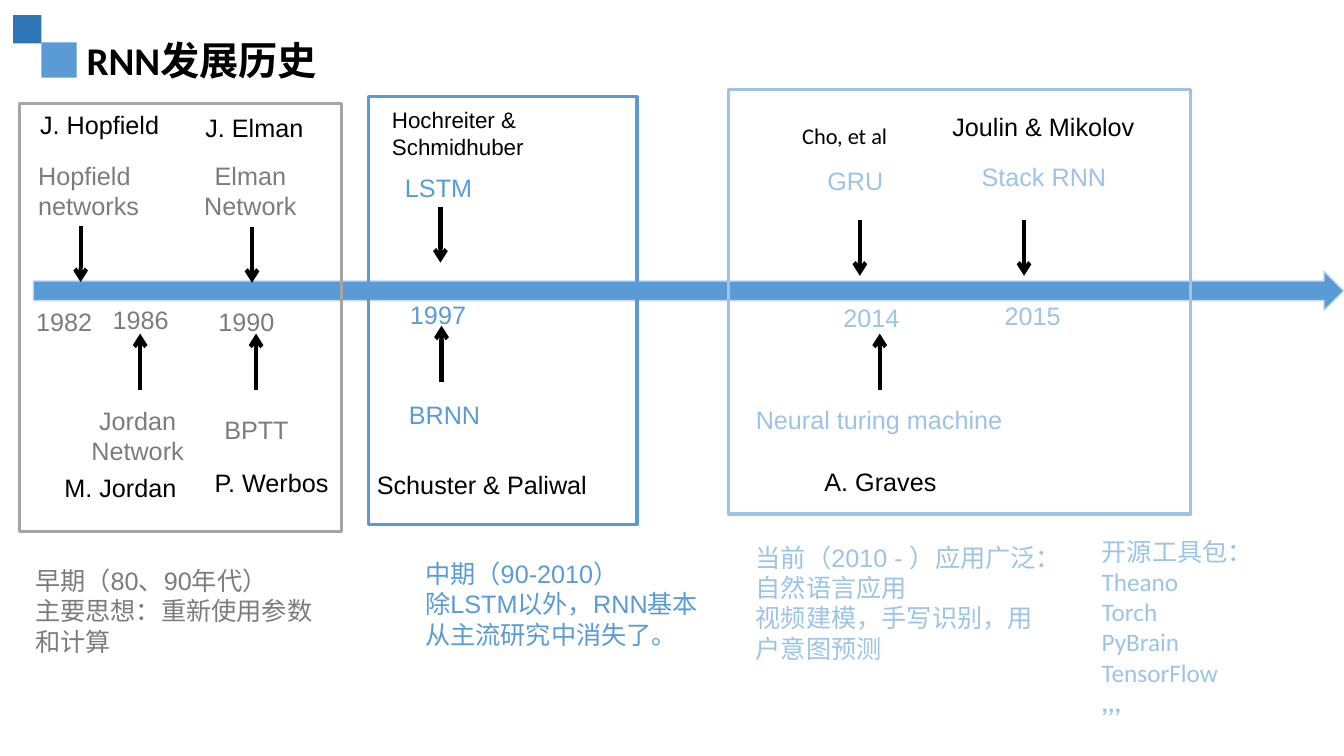
"""Build a one-slide timeline of the history of RNNs."""
from lxml import etree
from pptx import Presentation
from pptx.dml.color import RGBColor
from pptx.enum.shapes import MSO_CONNECTOR, MSO_SHAPE
from pptx.enum.text import MSO_AUTO_SIZE, PP_ALIGN
from pptx.oxml.ns import qn
from pptx.util import Pt

RECTANGLE, RIGHT_ARROW = MSO_SHAPE.RECTANGLE, MSO_SHAPE.RIGHT_ARROW
STRAIGHT = MSO_CONNECTOR.STRAIGHT
LEFT, CENTER = PP_ALIGN.LEFT, PP_ALIGN.CENTER
FIT_SHAPE = MSO_AUTO_SIZE.SHAPE_TO_FIT_TEXT

BLACK = RGBColor(0x00, 0x00, 0x00)
GRAY = RGBColor(0x7C, 0x7C, 0x7C)
FRAME_GRAY = RGBColor(0xA5, 0xA5, 0xA5)
BLUE = RGBColor(0x5B, 0x9B, 0xD5)
DARK_BLUE = RGBColor(0x2E, 0x75, 0xB6)
LIGHT_BLUE = RGBColor(0x9D, 0xC3, 0xE6)
PALE_BLUE = RGBColor(0xC2, 0xD8, 0xF8)

ARROW_LENGTH = 40
YEAR_WIDTH = 54.7

TITLE = "RNN发展历史"
TITLE_SQUARES = [(29.5, 30.2, 25.2, BLUE), (9.4, 10.8, 20.2, DARK_BLUE)]
TIMELINE = (23.8, 193.7, 936, 28.1)

PERIODS = [
    {
        "color": GRAY, "frame_color": FRAME_GRAY,
        "frame": (13.7, 74.2, 230.4, 305.3),
        "years": [("1982", 18.7, 215.3), ("1986", 73.4, 213.8), ("1990", 149, 215.3)],
        "models": [
            ("Hopﬁeld\nnetworks", 20.2, 110.9, 88.6, LEFT),
            ("Jordan\nNetwork", 57.6, 285.8, 81.4, CENTER),
            ("Elman\nNetwork", 138.2, 110.9, 81.4, CENTER),
            ("BPTT", 152.6, 292.3, 61.2, CENTER),
        ],
        "authors": [
            ("J. Hopﬁeld", 21.6, 74.2, 102.2, {}),
            ("J. Elman", 139.6, 77, 85, {}),
            ("P. Werbos", 146.2, 330.5, 97.9, {}),
            ("M. Jordan", 38.9, 334.1, 95, {}),
        ],
        "down_arrows": [(57.6, 161.5), (180, 162)],
        "up_arrows": [(182.9, 238.3), (100.1, 238.3)],
        "summary": ("早期（80、90年代）\n主要思想：重新使用参数和计算", 18, 400.3, 217.4),
    },
    {
        "color": BLUE, "frame_color": BLUE,
        "frame": (263.5, 69.1, 191.5, 305.3),
        "years": [("1997", 285.8, 210.2)],
        "models": [
            ("LSTM", 282.2, 119.5, 63.4, LEFT),
            ("BRNN", 284.4, 281.5, 66.2, CENTER),
        ],
        "authors": [
            ("Hochreiter &\nSchmidhuber", 272.9, 72, 114.5, {"size": 16}),
            ("Schuster & Paliwal", 262.1, 331.9, 166.3, {}),
        ],
        "down_arrows": [(314.6, 147.6)],
        "up_arrows": [(315.4, 232.6)],
        "summary": ("中期（90-2010）\n除LSTM以外，RNN基本从主流研究中消失了。", 296.6, 395.3, 215.3),
    },
    {
        "color": LIGHT_BLUE, "frame_color": LIGHT_BLUE,
        "frame": (520.6, 64.1, 329.8, 303.1),
        "years": [("2014", 595.4, 212.4), ("2015", 710.6, 211)],
        "models": [
            ("GRU", 583.9, 114.5, 54.7, LEFT),
            ("Neural turing machine", 532.8, 285.1, 192.2, LEFT),
            ("Stack RNN", 694.1, 111.6, 104.4, LEFT),
        ],
        "authors": [
            ("A. Graves", 581.8, 329.8, 95, {}),
            ("Cho, et al", 565.9, 83.5, 92.9, {"size": 16, "font": "Calibri"}),
            ("Joulin & Mikolov", 673.2, 76.3, 146.2, {}),
        ],
        "down_arrows": [(614.2, 157), (731.5, 157)],
        "up_arrows": [(628.4, 238.3)],
        "summary": ("当前（2010 - ）应用广泛：\n自然语言应用\n视频建模，手写识别，用户意图预测",
                    532.8, 383.8, 218.2),
    },
]
TOOLKITS = ["开源工具包：", "Theano", "Torch", "PyBrain", "TensorFlow", ",,,"]
TOOLKITS_PLACE = (779.8, 379.4, 123.8)


def add_text(slide, text, left, top, width, *, size=18, font="Arial", color=BLACK,
             bold=False, align=LEFT, wrap=False):
    """Add a text box with one paragraph per line and return its paragraphs."""
    lines = text.split("\n")
    height = 7.2 + 1.2 * size * len(lines)
    box = slide.shapes.add_textbox(Pt(left), Pt(top), Pt(width), Pt(height))
    frame = box.text_frame
    frame.word_wrap = wrap
    frame.auto_size = FIT_SHAPE
    frame.text = text
    for paragraph in frame.paragraphs:
        paragraph.alignment = align
        for run in paragraph.runs:
            run.font.size = Pt(size)
            run.font.name = font
            run.font.bold = bold
            run.font.color.rgb = color
    return frame.paragraphs


def add_block(slide, kind, place, fill=None, line=None, line_width=1):
    """Add a preset shape with an optional fill and outline."""
    block = slide.shapes.add_shape(kind, *map(Pt, place))
    block.shadow.inherit = False
    if fill is None:
        block.fill.background()
    else:
        block.fill.solid()
        block.fill.fore_color.rgb = fill
    if line is None:
        block.line.fill.background()
    else:
        block.line.color.rgb = line
        block.line.width = Pt(line_width)


def add_arrow(slide, x, start, end):
    """Add a vertical arrow pointing from start to end."""
    arrow = slide.shapes.add_connector(STRAIGHT, Pt(x), Pt(start), Pt(x), Pt(end))
    arrow.line.color.rgb = BLACK
    arrow.line.width = Pt(3)
    etree.SubElement(arrow.line._get_or_add_ln(), qn("a:tailEnd"), type="arrow")
    etree.SubElement(arrow._element.spPr, qn("a:effectLst"))


def add_period(slide, period):
    """Add the years, models, authors, arrows, frame and summary of a period."""
    color = period["color"]
    for year, left, top in period["years"]:
        add_text(slide, year, left, top, YEAR_WIDTH, color=color)
    for model, left, top, width, align in period["models"]:
        add_text(slide, model, left, top, width, color=color, align=align)
    for author, left, top, width, style in period["authors"]:
        add_text(slide, author, left, top, width, **style)
    for x, top in period["down_arrows"]:
        add_arrow(slide, x, top, top + ARROW_LENGTH)
    for x, top in period["up_arrows"]:
        add_arrow(slide, x, top + ARROW_LENGTH, top)
    add_text(slide, *period["summary"], color=color, wrap=True)
    add_block(slide, RECTANGLE, period["frame"], line=period["frame_color"], line_width=2.25)


def main():
    """Build and save the slide."""
    deck = Presentation()
    deck.slide_width, deck.slide_height = Pt(960), Pt(540)
    slide = deck.slides.add_slide(deck.slide_layouts[6])
    for left, top, side, color in TITLE_SQUARES:
        add_block(slide, RECTANGLE, (left, top, side, side), fill=color)
    add_text(slide, TITLE, 54.7, 22.3, 455, size=28, font="Calibri", bold=True, wrap=True)
    add_block(slide, RIGHT_ARROW, TIMELINE, fill=BLUE, line=PALE_BLUE)
    for period in PERIODS:
        add_period(slide, period)
    toolkits = add_text(slide, "\n".join(TOOLKITS), *TOOLKITS_PLACE,
                        font="Calibri", color=LIGHT_BLUE)
    toolkits[0].runs[0].font.name = "Arial"
    toolkits[-1].runs[0].font.bold = True
    deck.save("out.pptx")


if __name__ == "__main__":
    main()
